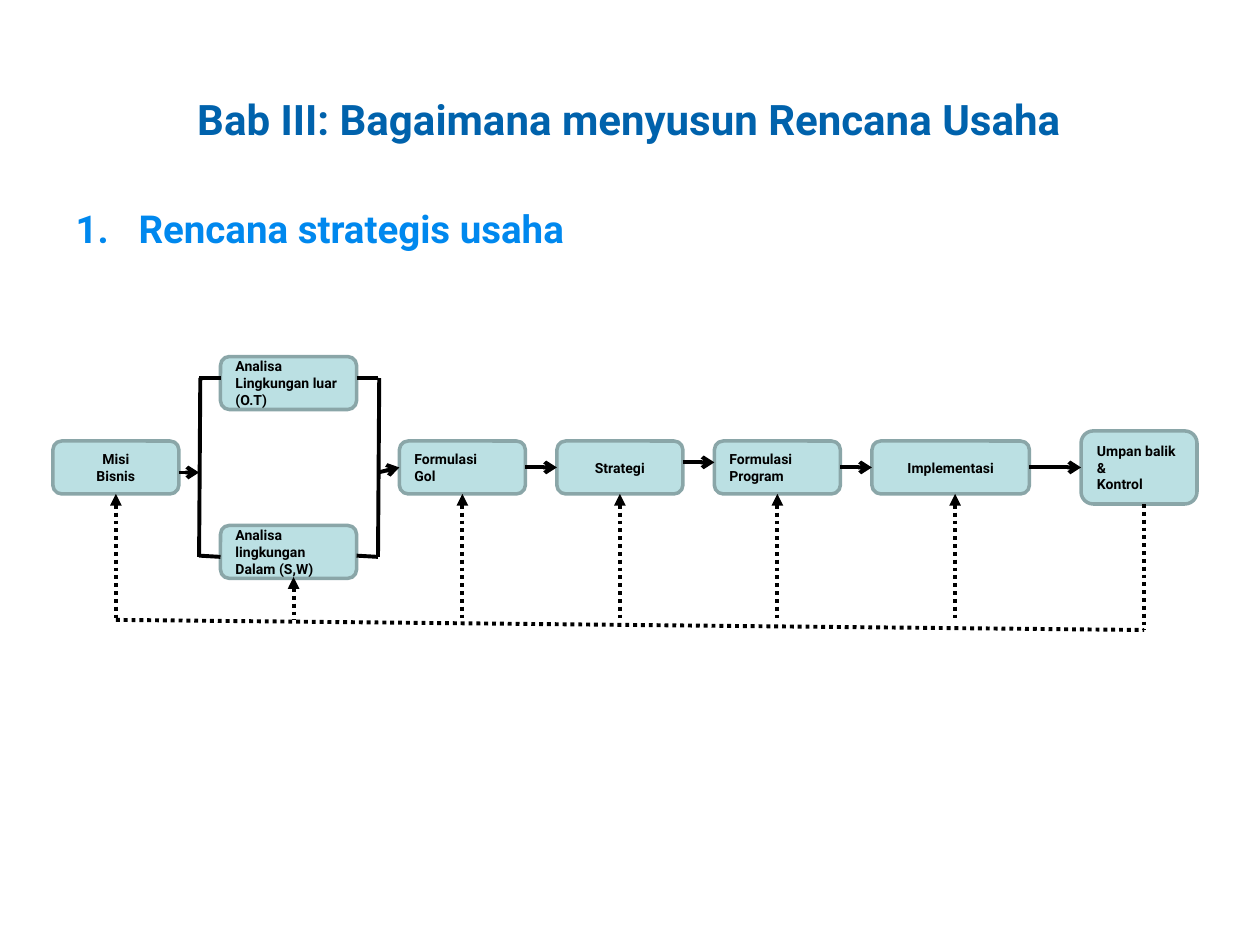
from lxml.etree import SubElement
from pptx import Presentation
from pptx.dml.color import RGBColor
from pptx.enum.dml import MSO_LINE_DASH_STYLE as Dash
from pptx.enum.shapes import MSO_CONNECTOR as Connector, MSO_SHAPE as Shape
from pptx.enum.text import MSO_ANCHOR as Anchor, MSO_AUTO_SIZE as AutoSize, PP_ALIGN as Align
from pptx.oxml.ns import qn
from pptx.util import Inches, Pt

FONT = "Roboto"
BLACK = RGBColor(0x00, 0x00, 0x00)
TITLE_BLUE = RGBColor(0x00, 0x62, 0xAC)
LIST_BLUE = RGBColor(0x00, 0x88, 0xEE)
BOX_FILL = RGBColor(0xBB, 0xE0, 0xE3)
BOX_LINE = RGBColor(0x8A, 0xA6, 0xA8)
TOP, LEFT, BOTTOM, RIGHT = range(4)
ROW_TOP, ROW_MIDDLE, ROW_BOTTOM = 3.5, 3.71, 3.92
BOX_HEIGHT = 0.42
FEEDBACK_Y = 4.92

BOXES = {
    "mission": ("Misi\nBisnis", 0.42, ROW_TOP, 1, BOX_HEIGHT, Align.CENTER),
    "goal": ("Formulasi\nGol", 3.17, ROW_TOP, 1, BOX_HEIGHT, Align.LEFT),
    "strategy": ("Strategi", 4.42, ROW_TOP, 1, BOX_HEIGHT, Align.CENTER),
    "program": ("Formulasi\nProgram", 5.67, ROW_TOP, 1, BOX_HEIGHT, Align.LEFT),
    "implementation": ("Implementasi", 6.92, ROW_TOP, 1.25, BOX_HEIGHT, Align.CENTER),
    "external": ("Analisa\nLingkungan luar (O.T)", 1.75, 2.83, 1.08, BOX_HEIGHT, Align.LEFT),
    "internal": ("Analisa\nlingkungan\nDalam (S,W)", 1.75, 4.17, 1.08, BOX_HEIGHT, Align.LEFT),
    "feedback": ("Umpan balik &\nKontrol", 8.58, 3.42, 0.92, 0.58, Align.LEFT),
}
BRACKET_LINES = [
    (2.83, 3, 3, 3), (3.01, 3, 3, 4.42), (2.83, 4.41, 3, 4.42),
    (1.58, 3, 1.75, 3), (1.59, 3, 1.58, 4.42), (1.58, 4.41, 1.75, 4.42),
]


def format_text(text_frame, size, color, align):
    """Apply one bold style to every paragraph of a text frame."""
    for paragraph in text_frame.paragraphs:
        paragraph.alignment = align
        for run in paragraph.runs:
            font = run.font
            font.name, font.size, font.bold = FONT, Pt(size), True
            font.color.rgb = color


def fill_placeholder(shape, text, bounds, size, color, align, anchor):
    """Move a placeholder and give it formatted text."""
    shape.left, shape.top, shape.width, shape.height = map(Inches, bounds)
    text_frame = shape.text_frame
    text_frame.text = text
    text_frame.auto_size = AutoSize.NONE
    text_frame.vertical_anchor = anchor
    format_text(text_frame, size, color, align)


def number_paragraph(paragraph):
    """Number a paragraph with a half-inch hanging indent."""
    properties = paragraph._p.get_or_add_pPr()
    properties.set("marL", str(Inches(0.5)))
    properties.set("indent", str(Inches(-0.5)))
    SubElement(properties, qn("a:buFont"), typeface="+mj-lt")
    SubElement(properties, qn("a:buAutoNum"), type="arabicPeriod")


def add_box(slide, text, left, top, width, height, align):
    """Add a rounded process box and return it."""
    shape = slide.shapes.add_shape(
        Shape.ROUNDED_RECTANGLE, Inches(left), Inches(top), Inches(width), Inches(height))
    shape.shadow.inherit = False
    shape.fill.solid()
    shape.fill.fore_color.rgb = BOX_FILL
    shape.line.color.rgb = BOX_LINE
    shape.line.width = Pt(2)
    shape.text_frame.text = text
    shape.text_frame.word_wrap = True
    shape.text_frame.vertical_anchor = Anchor.MIDDLE
    format_text(shape.text_frame, 8, BLACK, align)
    return shape


def add_line(slide, points, dotted=False, head=None, tail=None):
    """Add a straight black line with optional dots and arrowheads."""
    line = slide.shapes.add_connector(Connector.STRAIGHT, *map(Inches, points))
    line.line.color.rgb = BLACK
    line.line.width = Pt(2.25)
    if dotted:
        line.line.dash_style = Dash.ROUND_DOT
    outline = line.line._get_or_add_ln()
    for tag, kind in (("a:headEnd", head), ("a:tailEnd", tail)):
        if kind:
            SubElement(outline, qn(tag), type=kind)
    SubElement(line._element.spPr, qn("a:effectLst"))
    return line


def add_flow(slide, boxes):
    """Add the solid arrows and the brackets around the two analyses."""
    for points in BRACKET_LINES:
        add_line(slide, points)
    mission_arrow = (1.42, 3.75, 1.58, 3.75)
    program_arrow = (5.42, 3.67, 5.67, 3.67)
    for points in (mission_arrow, program_arrow):
        add_line(slide, points, tail="arrow")
    goal_arrow = add_line(slide, (3, 3.75, 3.17, ROW_MIDDLE), tail="arrow")
    goal_arrow.end_connect(boxes["goal"], LEFT)
    for source, target, start, end in (
            ("goal", "strategy", 4.17, 4.42),
            ("program", "implementation", 6.67, 6.92),
            ("implementation", "feedback", 8.17, 8.58)):
        arrow = add_line(slide, (start, ROW_MIDDLE, end, ROW_MIDDLE), tail="arrow")
        arrow.begin_connect(boxes[source], RIGHT)
        arrow.end_connect(boxes[target], LEFT)


def add_feedback(slide, boxes):
    """Add the dotted feedback loop below the boxes."""
    add_line(slide, (9.08, 4, 9.08, 5), dotted=True)
    add_line(slide, (0.92, FEEDBACK_Y, 9.08, 5), dotted=True)
    for x, top in ((2.33, 4.58), (7.58, ROW_BOTTOM)):
        add_line(slide, (x, top, x, FEEDBACK_Y), dotted=True, head="triangle")
    for name, x in (("mission", 0.92), ("goal", 3.67), ("strategy", 4.92), ("program", 6.17)):
        arrow = add_line(slide, (x, ROW_BOTTOM, x, FEEDBACK_Y), dotted=True, head="triangle")
        arrow.begin_connect(boxes[name], BOTTOM)


def main():
    """Build and save the business planning slide."""
    presentation = Presentation()
    presentation.slide_width, presentation.slide_height = Inches(10), Inches(7.5)
    slide = presentation.slides.add_slide(presentation.slide_layouts[1])
    fill_placeholder(slide.shapes.title, "Bab III: Bagaimana menyusun Rencana Usaha",
                     (0.49, 0.63, 9, 0.62), 24, TITLE_BLUE, Align.CENTER, Anchor.MIDDLE)
    body = slide.placeholders[1]
    fill_placeholder(body, "Rencana strategis usaha",
                     (0.5, 1.58, 5.83, 0.58), 22, LIST_BLUE, Align.LEFT, Anchor.TOP)
    number_paragraph(body.text_frame.paragraphs[0])
    boxes = {name: add_box(slide, *details) for name, details in BOXES.items()}
    add_flow(slide, boxes)
    add_feedback(slide, boxes)
    presentation.save("out.pptx")


if __name__ == "__main__":
    main()
